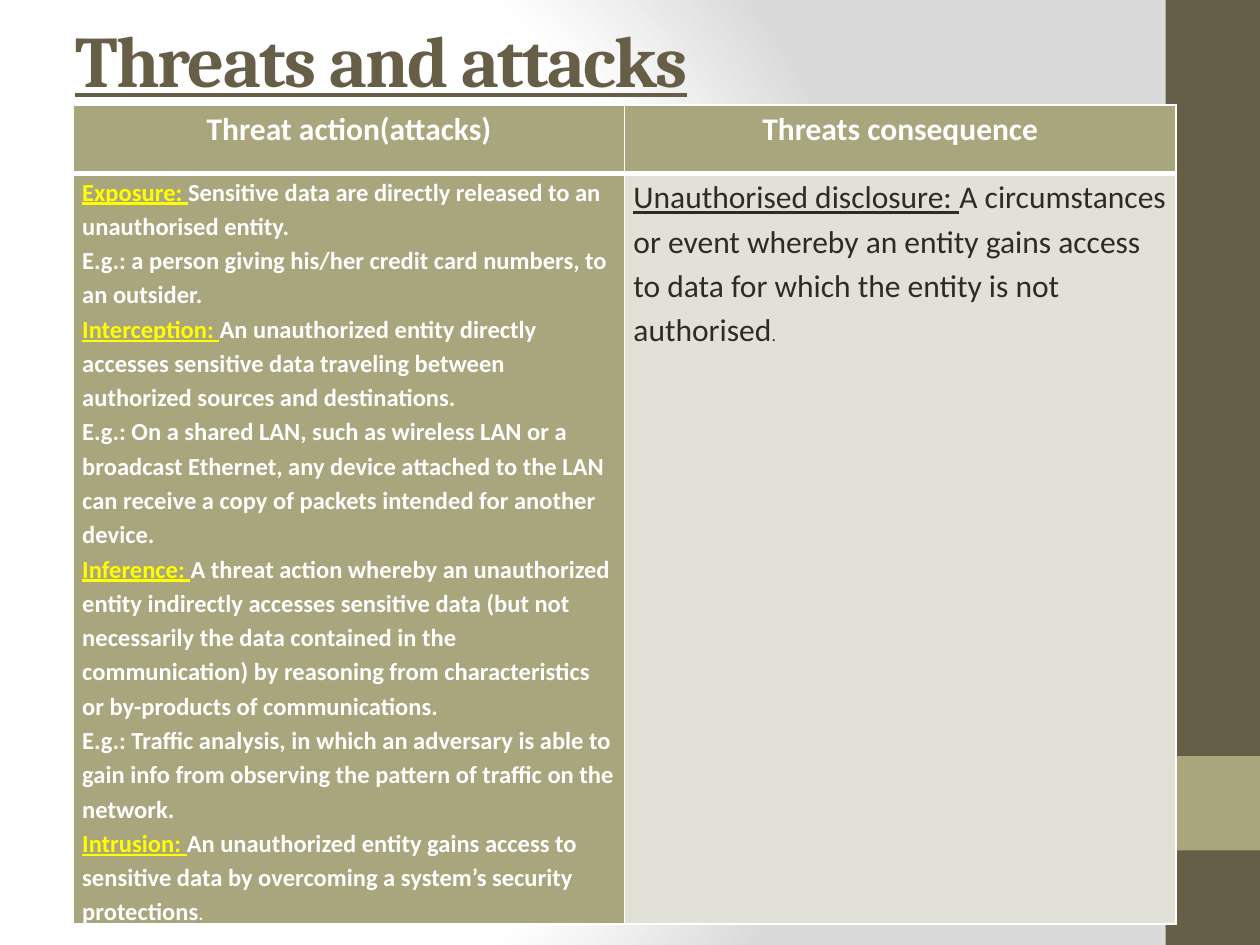
from dataclasses import dataclass
from typing import Any

import lxml.etree
import pptx
import pptx.dml.color
import pptx.enum.shapes
import pptx.enum.text
import pptx.oxml
import pptx.oxml.ns
import pptx.util

Pt = pptx.util.Pt
RGB = pptx.dml.color.RGBColor
ALIGN = pptx.enum.text.PP_ALIGN
NS = pptx.oxml.ns.nsdecls("a", "p")

BROWN = RGB(0x67, 0x5E, 0x47)
OLIVE = RGB(0xA9, 0xA5, 0x7C)
PALE = RGB(0xE2, 0xE1, 0xD7)
DARK = RGB(0x2F, 0x2B, 0x20)
WHITE = RGB(0xFF, 0xFF, 0xFF)
GREY = RGB(0xDA, 0xDA, 0xDA)
YELLOW = RGB(0xFF, 0xFF, 0x00)


@dataclass
class Run:
    text: str
    color: RGB
    font: dict[str, Any]


@dataclass
class Cell:
    fill: RGB
    paras: list[list[Run]]
    align: ALIGN = ALIGN.LEFT


@dataclass
class Band:
    top: float
    height: float
    fill: RGB


def style(size: float, bold: bool = False, line: bool = False,
          name: str = "Calibri") -> dict[str, Any]:
    return {"name": name, "size": Pt(size), "bold": bold, "underline": line}


def apply(target: Any, values: dict[str, Any]) -> None:
    for key, value in values.items():
        setattr(target, key, value)


def head(text: str) -> Cell:
    return Cell(OLIVE, [[Run(text, WHITE, style(18, True))]], ALIGN.CENTER)


def plain(text: str) -> Run:
    return Run(text, WHITE, style(14, True))


def term(name: str, text: str) -> list[Run]:
    """A paragraph that opens with a yellow underlined term."""
    return [Run(name + ": ", YELLOW, style(14, True, True)), plain(text)]


ATTACKS = [
    term("Exposure", "Sensitive data are directly released to an "
         "unauthorised entity."),
    [plain("E.g.: a person giving his/her credit card numbers, to an "
           "outsider.")],
    term("Interception", "An unauthorized entity directly accesses sensitive "
         "data traveling between authorized sources and destinations."),
    [plain("E.g.: On a shared LAN, such as wireless LAN or a broadcast "
           "Ethernet, any device attached to the LAN can receive a copy of "
           "packets intended for another device.")],
    term("Inference", "A threat action whereby an unauthorized entity "
         "indirectly accesses sensitive data (but not necessarily the data "
         "contained in the communication) by reasoning from characteristics "
         "or by-products of communications."),
    [plain("E.g.: Traffic analysis, in which an adversary is able to gain "
           "info from observing the pattern of traffic on the network.")],
    term("Intrusion", "An unauthorized entity gains access to sensitive data "
         "by overcoming a system’s security protections")
    + [Run(".", WHITE, style(10, True))],
]
RESULT = [[
    Run("Unauthorised disclosure: ", DARK, style(18, line=True)),
    Run("A circumstances or event whereby an entity gains access to data for "
        "which the entity is not authorised", DARK, style(18)),
    Run(".", DARK, style(10)),
]]
CELLS = [
    [head("Threat action(attacks)"), head("Threats consequence")],
    [Cell(OLIVE, ATTACKS), Cell(PALE, RESULT)],
]
BANDS = [Band(0, 540, BROWN), Band(432, 54, OLIVE)]
COLS = [315, 315]
ROWS = [39, 429]


def paint(slide: Any) -> None:
    """Give the slide its radial background."""
    stops = "".join(
        f'<a:gs pos="{pos * 1000}"><a:srgbClr val="{color}"/></a:gs>'
        for pos, color in ((0, WHITE), (75, WHITE), (100, GREY)))
    back = pptx.oxml.parse_xml(
        f'<p:bg {NS}><p:bgPr><a:gradFill rotWithShape="1">'
        f'<a:gsLst>{stops}</a:gsLst><a:path path="circle">'
        '<a:fillToRect l="20000" t="50000" r="100000" b="50000"/></a:path>'
        '</a:gradFill><a:effectLst/></p:bgPr></p:bg>')
    slide.element.cSld.insert(0, back)


def draw_band(slide: Any, band: Band) -> None:
    shape = slide.shapes.add_shape(
        pptx.enum.shapes.MSO_SHAPE.RECTANGLE,
        Pt(666), Pt(band.top), Pt(54), Pt(band.height))
    shape.shadow.inherit = False
    shape.fill.solid()
    shape.fill.fore_color.rgb = band.fill
    shape.line.fill.background()


def add_run(para: Any, run: Run) -> Any:
    item = para.add_run()
    item.text = run.text
    apply(item.font, run.font)
    item.font.color.rgb = run.color
    return item


def draw_title(slide: Any, text: str) -> None:
    box = slide.shapes.add_textbox(Pt(36), Pt(8.6), Pt(648), Pt(49))
    apply(box.text_frame, {"word_wrap": True, "margin_top": 0,
                           "margin_bottom": 0})
    run = Run(text, BROWN, style(41.4, True, True, "Cambria"))
    item = add_run(box.text_frame.paragraphs[0], run)
    item.font._element.set("spc", "-100")


def edge(cell: Any, side: str, width: float) -> None:
    cell._tc.get_or_add_tcPr().append(pptx.oxml.parse_xml(
        f'<a:ln{side} {NS} w="{Pt(width)}"><a:solidFill>'
        f'<a:srgbClr val="{WHITE}"/></a:solidFill></a:ln{side}>'))


def fill_cell(cell: Any, data: Cell, widths: dict[str, float]) -> None:
    apply(cell, {"margin_left": Pt(5), "margin_right": Pt(5),
                 "margin_top": 0, "margin_bottom": 0})
    for side, width in widths.items():
        edge(cell, side, width)
    cell.fill.solid()
    cell.fill.fore_color.rgb = data.fill
    frame = cell.text_frame
    for index, runs in enumerate(data.paras):
        para = frame.add_paragraph() if index else frame.paragraphs[0]
        apply(para, {"alignment": data.align, "line_spacing": 1.15})
        for run in runs:
            add_run(para, run)


def draw_table(slide: Any) -> None:
    table = slide.shapes.add_table(
        len(ROWS), len(COLS), Pt(42), Pt(60),
        Pt(sum(COLS)), Pt(sum(ROWS))).table
    table.horz_banding = False
    for col, width in zip(table.columns, COLS):
        col.width = Pt(width)
    for row, height in zip(table.rows, ROWS):
        row.height = Pt(height)
    for r, line in enumerate(CELLS):
        widths = {"L": 1, "R": 1, "T": 3 if r else 1, "B": 1 if r else 3}
        for c, data in enumerate(line):
            fill_cell(table.cell(r, c), data, widths)


def main() -> None:
    deck = pptx.Presentation()
    apply(deck, {"slide_width": Pt(720), "slide_height": Pt(540)})
    slide = deck.slides.add_slide(deck.slide_layouts[6])
    paint(slide)
    for band in BANDS:
        draw_band(slide, band)
    draw_title(slide, "Threats and attacks")
    draw_table(slide)
    deck.save("out.pptx")


if __name__ == "__main__":
    main()
